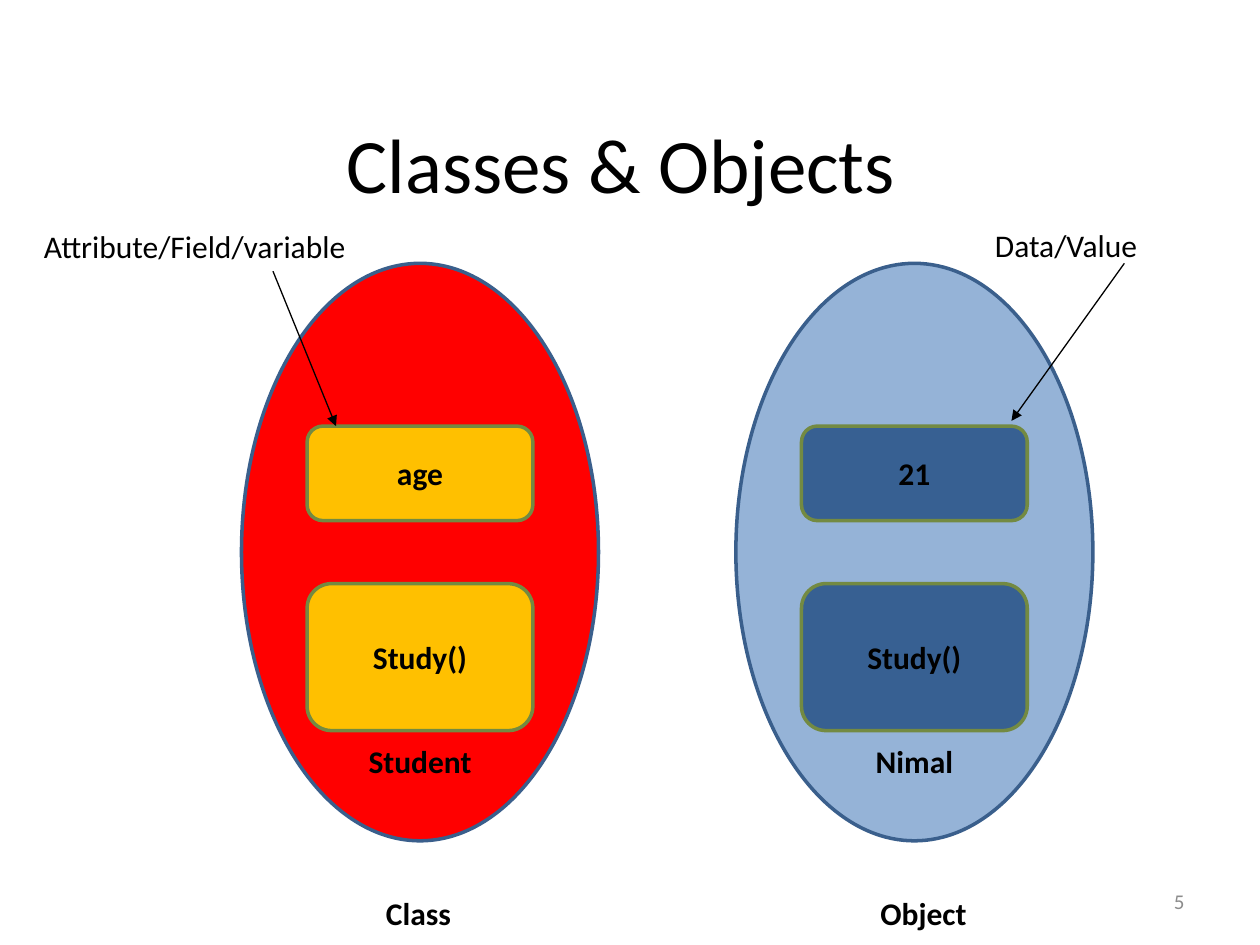
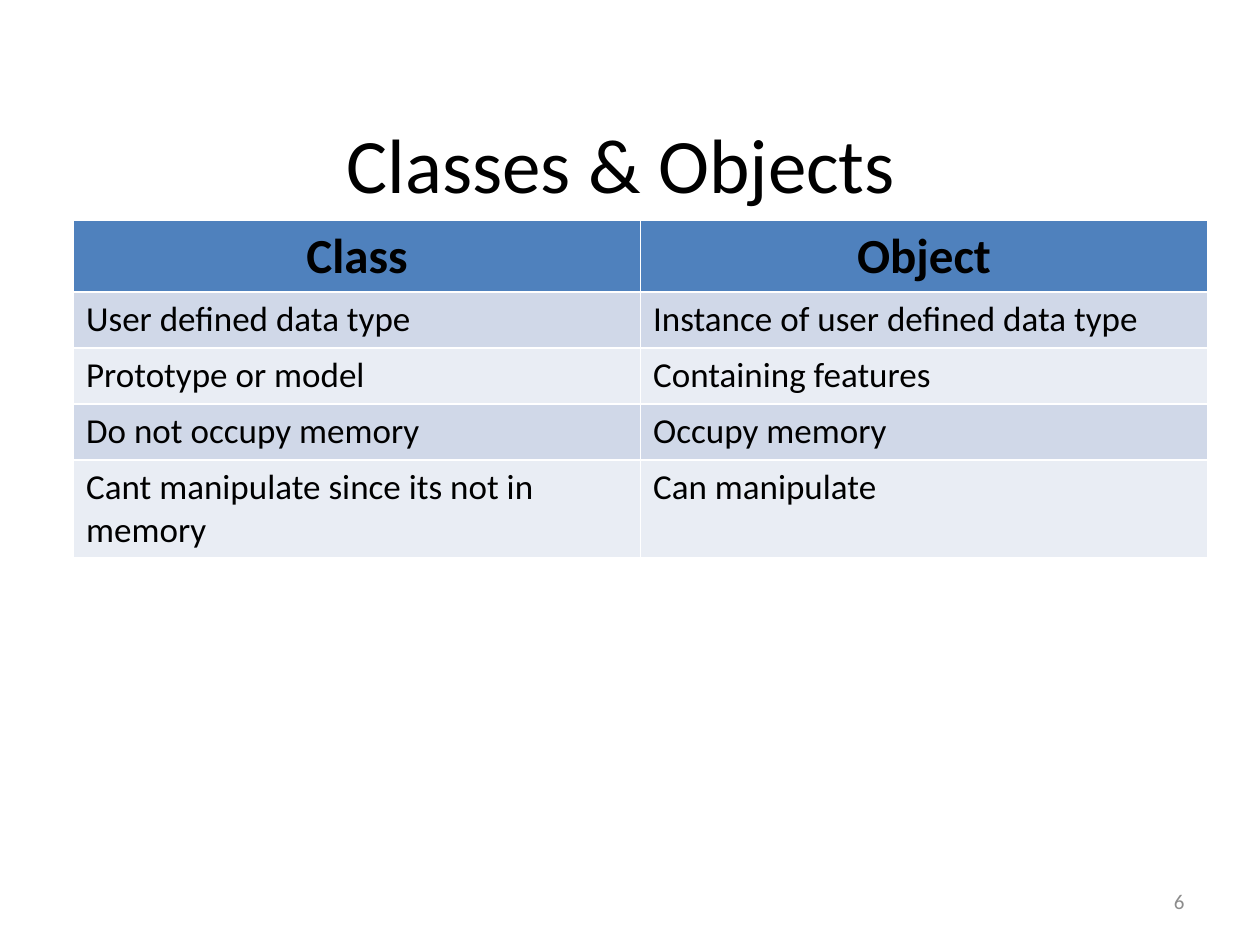
from lxml.etree import SubElement
from pptx import Presentation
from pptx.dml.color import RGBColor
from pptx.enum.shapes import MSO_CONNECTOR, MSO_SHAPE
from pptx.enum.text import MSO_ANCHOR, PP_ALIGN
from pptx.oxml.ns import qn
from pptx.util import Pt

FONT = "Calibri"
COLORS = {
    "text": "000000",
    "number": "8C8C8C",
    "red": "FF0000",
    "gold": "FFC000",
    "light_blue": "95B3D7",
    "dark_blue": "376092",
    "oval_line": "3A5F8C",
    "member_line": "738A42",
    "header": "4F81BD",
    "odd_row": "D0D8E8",
    "even_row": "E9EDF4",
}
OVAL_SIZE = (204, 330)
DIAGRAM_TOP = 150.5
COMPARISON = [
    ("Class", "Object"),
    ("User defined data type", "Instance of user defined data type"),
    ("Prototype or model", "Containing features"),
    ("Do not occupy memory", "Occupy memory"),
    ("Cant manipulate since its not in memory", "Can manipulate"),
]
ROW_HEIGHTS = [41, 32, 32, 32, 56]


def color(name):
    return RGBColor.from_string(COLORS[name])


def write_text(frame, text, size=18, bold=False, ink="text", align=PP_ALIGN.LEFT):
    paragraph = frame.paragraphs[0]
    paragraph.alignment = align
    run = paragraph.add_run()
    run.text = text
    run.font.name = FONT
    run.font.size = Pt(size)
    run.font.bold = bold
    run.font.color.rgb = color(ink)


def add_label(slide, box, text, wrap=True, anchor=MSO_ANCHOR.MIDDLE, **style):
    frame = slide.shapes.add_textbox(*map(Pt, box)).text_frame
    frame.word_wrap = wrap
    frame.vertical_anchor = anchor
    write_text(frame, text, **style)


def add_filled_shape(slide, kind, box, fill, line):
    shape = slide.shapes.add_shape(kind, *map(Pt, box))
    shape.shadow.inherit = False
    shape.fill.solid()
    shape.fill.fore_color.rgb = color(fill)
    shape.line.color.rgb = color(line)
    shape.line.width = Pt(2)
    return shape


def add_arrow(slide, start, end):
    arrow = slide.shapes.add_connector(MSO_CONNECTOR.STRAIGHT, *map(Pt, start + end))
    arrow.line.color.rgb = color("text")
    arrow.line.width = Pt(0.75)
    SubElement(arrow.line._get_or_add_ln(), qn("a:tailEnd"), type="triangle")
    SubElement(arrow._element.spPr, qn("a:effectLst"))


def add_frame_slide(presentation, number):
    """Add a slide with the shared title and its slide number."""
    slide = presentation.slides.add_slide(presentation.slide_layouts[6])
    add_label(slide, (36, 48, 648, 90), "Classes & Objects ", size=44, align=PP_ALIGN.CENTER)
    add_label(slide, (516, 500.5, 168, 29), str(number), size=12, ink="number",
              align=PP_ALIGN.RIGHT)
    return slide


def add_oval(slide, left, top, name, caption, members, oval_fill, member_fill):
    """Draw a named oval with its attribute and method, and a caption below."""
    width, height = OVAL_SIZE
    add_filled_shape(slide, MSO_SHAPE.OVAL, (left, top, width, height), oval_fill, "oval_line")
    member_width = 129
    member_left = left + (width - member_width) / 2
    for text, offset, member_height in zip(members, (93, 183), (54, 84)):
        member = add_filled_shape(slide, MSO_SHAPE.ROUNDED_RECTANGLE,
                                  (member_left, top + offset, member_width, member_height),
                                  member_fill, "member_line")
        write_text(member.text_frame, text, bold=True, align=PP_ALIGN.CENTER)
    add_label(slide, (left, top + 270, width, 29), name, bold=True, align=PP_ALIGN.CENTER)
    add_label(slide, (left + 75.5, top + 357, 64, 29), caption, wrap=False,
              anchor=MSO_ANCHOR.TOP, bold=True)


def add_callout(slide, left, top, width, text, start, end):
    """Place a label and an arrow whose ends are offsets from the label's corner."""
    add_label(slide, (left, top, width, 29), text, wrap=False, anchor=MSO_ANCHOR.TOP)
    add_arrow(slide, (left + start[0], top + start[1]), (left + end[0], top + end[1]))


def add_diagram_slide(presentation, number):
    slide = add_frame_slide(presentation, number)
    add_oval(slide, 138, DIAGRAM_TOP, "Student", "Class", ("age", "Study()"), "red", "gold")
    add_oval(slide, 420.5, DIAGRAM_TOP, "Nimal", "Object", ("21", "Study()"),
             "light_blue", "dark_blue")
    add_callout(slide, 18, 126, 189, "Attribute/Field/variable", (138, 29), (174, 117.5))
    add_callout(slide, 561.5, 125.5, 96.5, "Data/Value", (81, 25), (16.5, 115))


def add_comparison_table(slide, left, top, width):
    table = slide.shapes.add_table(len(COMPARISON), 2, Pt(left), Pt(top), Pt(width),
                                   Pt(sum(ROW_HEIGHTS))).table
    for row_index, texts in enumerate(COMPARISON):
        table.rows[row_index].height = Pt(ROW_HEIGHTS[row_index])
        if row_index == 0:
            fill, style = "header", {"size": 28, "bold": True, "align": PP_ALIGN.CENTER}
        else:
            fill, style = "odd_row" if row_index % 2 else "even_row", {"size": 20}
        for column_index, text in enumerate(texts):
            cell = table.cell(row_index, column_index)
            cell.fill.solid()
            cell.fill.fore_color.rgb = color(fill)
            write_text(cell.text_frame, text, **style)


def add_table_slide(presentation, number):
    slide = add_frame_slide(presentation, number)
    add_comparison_table(slide, 42, 126, 648)


def main():
    presentation = Presentation()
    presentation.slide_width = Pt(720)
    presentation.slide_height = Pt(540)
    add_diagram_slide(presentation, 5)
    add_table_slide(presentation, 6)
    presentation.save("out.pptx")


if __name__ == "__main__":
    main()
